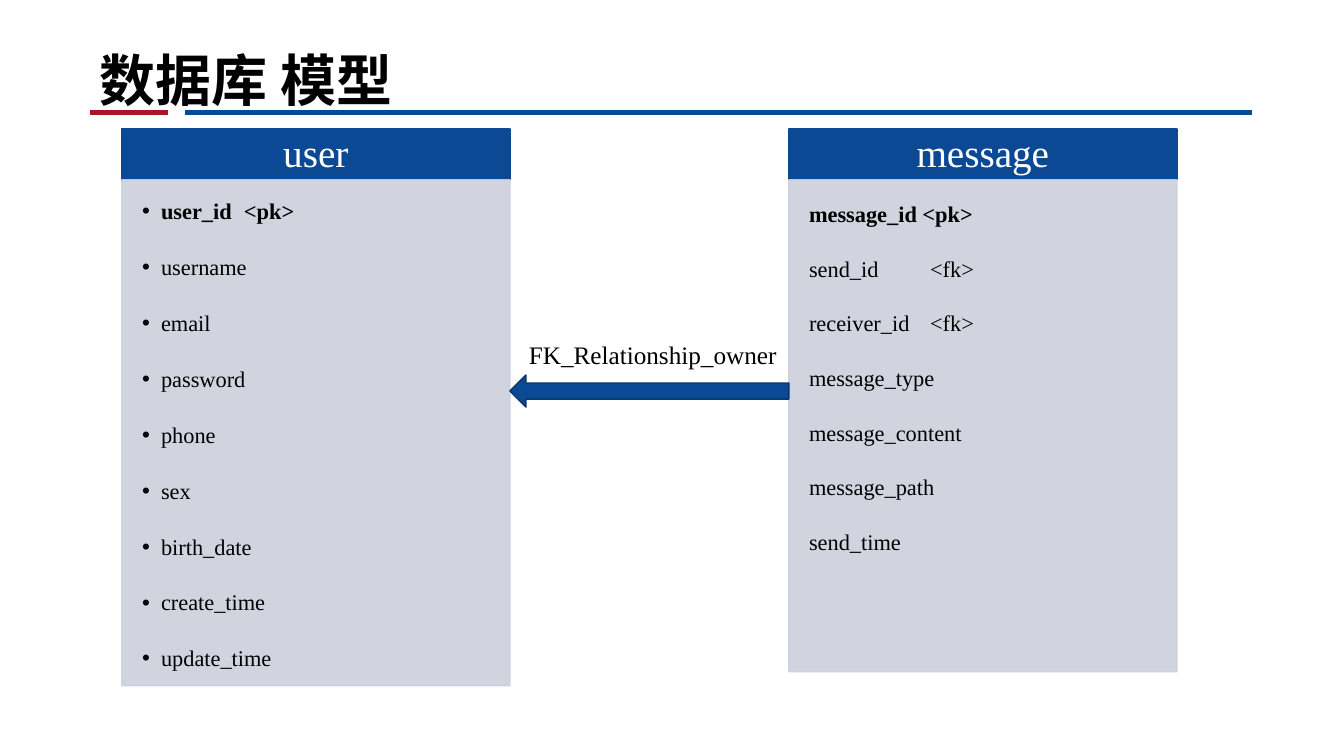
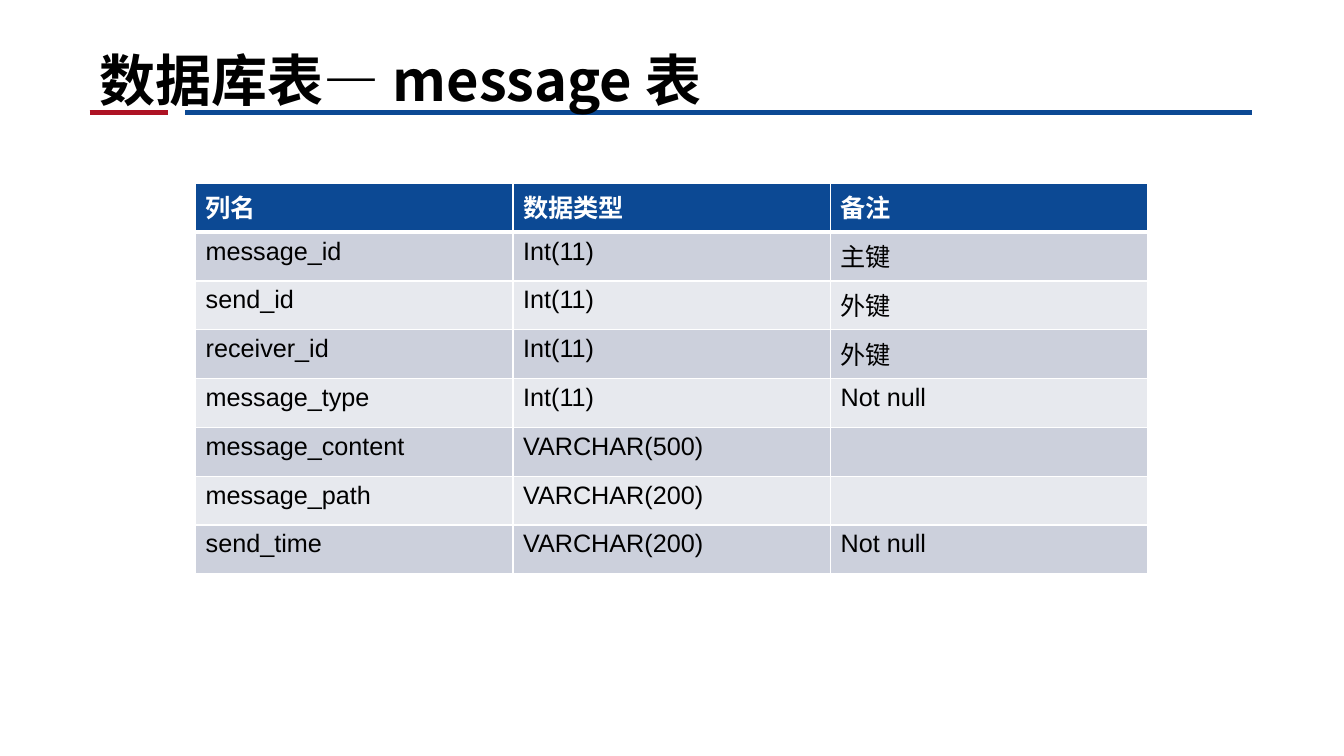
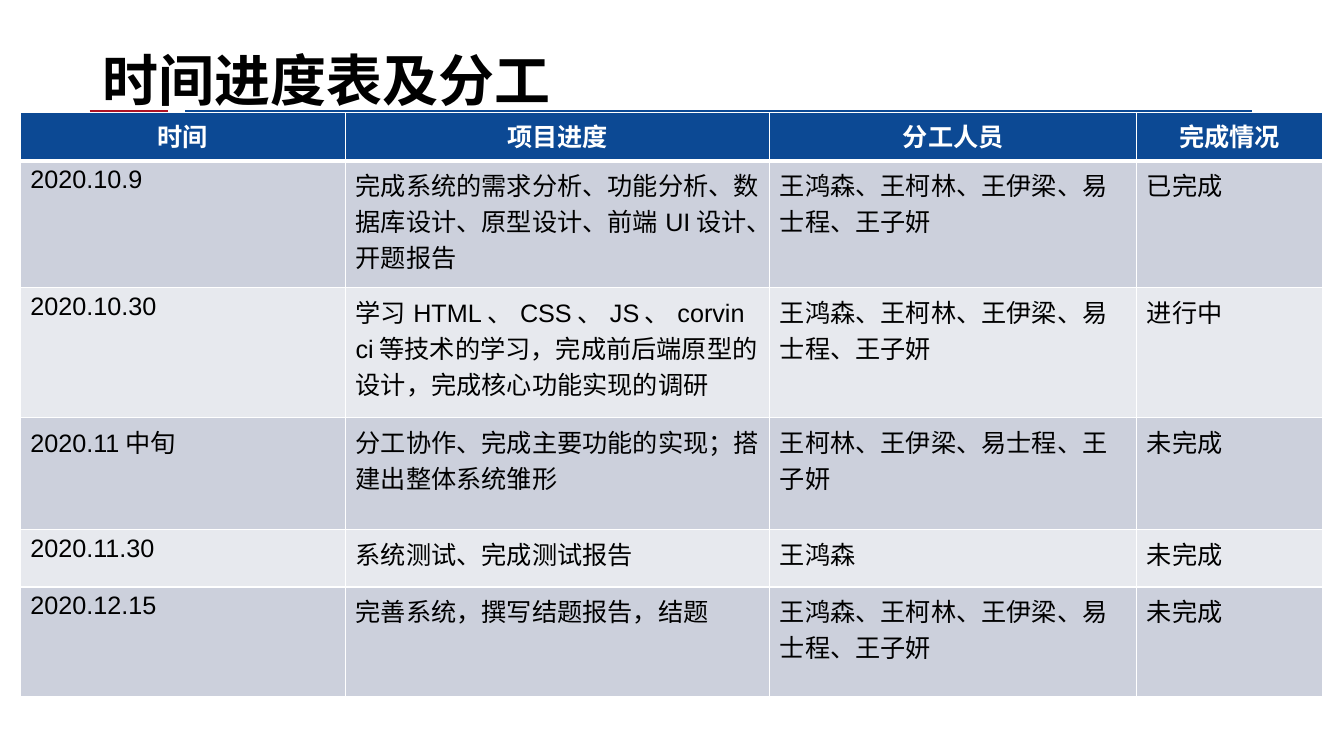
import pptx
import pptx.dml.color
import pptx.enum.shapes
import pptx.enum.text
import pptx.oxml
import pptx.oxml.ns
import pptx.util

Cm = pptx.util.Cm
Pt = pptx.util.Pt
RGBColor = pptx.dml.color.RGBColor
Shape = pptx.enum.shapes.MSO_SHAPE
Anchor = pptx.enum.text.MSO_ANCHOR
Align = pptx.enum.text.PP_ALIGN
qn = pptx.oxml.ns.qn

# Shared look
BLUE = RGBColor(0x0C, 0x49, 0x94)
DARK_BLUE = RGBColor(0x09, 0x36, 0x6D)
RED = RGBColor(0xAE, 0x13, 0x24)
BAND = RGBColor(0xCC, 0xD0, 0xDC)
LIGHT_BAND = RGBColor(0xE7, 0xE9, 0xEE)
WHITE = RGBColor(0xFF, 0xFF, 0xFF)
BLACK = RGBColor(0, 0, 0)
SANS, SERIF, CJK = "Arial", "Times New Roman", "Noto Sans CJK SC"

TITLE_RULES = [(2.26, 4.24, RED), (4.67, 31.55, BLUE)]
RULE_TOP = 2.84
TITLE_RIGHT = 31.55

TITLE_FONT = {"name": CJK, "size": Pt(40), "bold": True}
HEADING_FONT = {"name": SERIF, "size": Pt(28)}
FIELD_FONT = {"name": SERIF, "size": Pt(16)}
LABEL_FONT = {"name": SERIF, "size": Pt(18)}
CELL_FONT = {"name": SANS, "size": Pt(18)}

# Content
ENTITY_TOP, ENTITY_WIDTH, HEADING_HEIGHT = 3.25, 9.78, 1.28
ENTITIES = [
    {
        "name": "user", "left": 3.07, "height": 12.75, "bullet": True, "tab": 2.57,
        "spacing": {"line_spacing": 0.9, "space_after": Pt(22.7)},
        "fields": ["user_id\t<pk>", "username", "email", "password", "phone",
                   "sex", "birth_date", "create_time", "update_time"],
    },
    {
        "name": "message", "left": 19.88, "height": 12.4, "bullet": False, "tab": 3.05,
        "spacing": {"line_spacing": 1.0, "space_after": Pt(19.9)},
        "fields": ["message_id <pk>", "send_id\t<fk>", "receiver_id\t<fk>",
                   "message_type", "message_content", "message_path", "send_time"],
    },
]
RELATION = "FK_Relationship_owner"

COLUMNS_OF_MESSAGE = [
    ("列名", "数据类型", "备注"),
    ("message_id", "Int(11)", "主键"),
    ("send_id", "Int(11)", "外键"),
    ("receiver_id", "Int(11)", "外键"),
    ("message_type", "Int(11)", "Not null"),
    ("message_content", "VARCHAR(500)", ""),
    ("message_path", "VARCHAR(200)", ""),
    ("send_time", "VARCHAR(200)", "Not null"),
]

TEAM = "王鸿森、王柯林、王伊梁、易士程、王子妍"
SCHEDULE = [
    ("时间", "项目进度", "分工人员", "完成情况"),
    ("2020.10.9", "完成系统的需求分析、功能分析、数据库设计、原型设计、前端UI设计、开题报告",
     TEAM, "已完成"),
    ("2020.10.30", "学习HTML、CSS、JS、corvin ci等技术的学习，完成前后端原型的设计，完成核心功能实现的调研",
     TEAM, "进行中"),
    ("2020.11中旬", "分工协作、完成主要功能的实现；搭建出整体系统雏形",
     "王柯林、王伊梁、易士程、王子妍", "未完成"),
    ("2020.11.30", "系统测试、完成测试报告", "王鸿森", "未完成"),
    ("2020.12.15", "完善系统，撰写结题报告，结题", TEAM, "未完成"),
]


def apply(target, values):
    for key, value in values.items():
        setattr(target, key, value)


def add_xml(parent, tag, **attributes):
    child = pptx.oxml.parse_xml(f"<{tag} {pptx.oxml.ns.nsdecls('a')}/>")
    for key, value in attributes.items():
        child.set(key, str(value))
    parent.append(child)
    return child


def write(paragraph, text, font, color=BLACK, **extra):
    run = paragraph.add_run()
    run.text = text
    apply(run.font, {**font, **extra})
    run.font.color.rgb = color
    add_xml(run.font._element, "a:ea", typeface=CJK)


def set_frame(frame, margins, **values):
    """Margins are left, top, right, bottom in centimetres."""
    sides = ("margin_left", "margin_top", "margin_right", "margin_bottom")
    apply(frame, {**dict(zip(sides, map(Cm, margins))), **values})


def add_block(slide, shape_type, box, fill, outline):
    block = slide.shapes.add_shape(shape_type, *map(Cm, box))
    block.shadow.inherit = False
    block.fill.solid()
    block.fill.fore_color.rgb = fill
    block.line.color.rgb = outline
    block.line.width = Pt(1)
    return block


def add_slide(deck, title, left=2.26, font_name=CJK):
    slide = deck.slides.add_slide(deck.slide_layouts[6])
    for start, end, color in TITLE_RULES:
        rule = slide.shapes.add_connector(
            pptx.enum.shapes.MSO_CONNECTOR.STRAIGHT,
            Cm(start), Cm(RULE_TOP), Cm(end), Cm(RULE_TOP))
        rule.line.color.rgb = color
        rule.line.width = Pt(3.5)
        add_xml(rule._element.spPr, "a:effectLst")
    heading = slide.shapes.add_textbox(Cm(left), 0, Cm(TITLE_RIGHT - left), Cm(RULE_TOP))
    set_frame(heading.text_frame, (0.25, 0.13, 0.25, 0),
              word_wrap=True, vertical_anchor=Anchor.BOTTOM)
    write(heading.text_frame.paragraphs[0], title, TITLE_FONT, name=font_name)
    return slide


def add_entity(slide, entity):
    # Heading bar
    box = (entity["left"], ENTITY_TOP, ENTITY_WIDTH, HEADING_HEIGHT)
    heading = add_block(slide, Shape.RECTANGLE, box, BLUE, BLUE)
    set_frame(heading.text_frame, (0.3, 0.18, 0.3, 0.18), vertical_anchor=Anchor.MIDDLE)
    line = heading.text_frame.paragraphs[0]
    apply(line, {"alignment": Align.CENTER, "line_spacing": 0.9})
    write(line, entity["name"], HEADING_FONT, WHITE)

    # Field list
    box = (entity["left"], ENTITY_TOP + HEADING_HEIGHT, ENTITY_WIDTH, entity["height"])
    body = add_block(slide, Shape.RECTANGLE, box, BAND, BAND)
    for color in body._element.spPr.iter(qn("a:srgbClr")):
        add_xml(color, "a:alpha", val=90000)
    frame = body.text_frame
    set_frame(frame, (0.51, 0.51, 0.3, 0.3), vertical_anchor=Anchor.TOP, word_wrap=True)
    for index, field in enumerate(entity["fields"]):
        line = frame.add_paragraph() if index else frame.paragraphs[0]
        properties = line._p.get_or_add_pPr()
        if entity["bullet"]:
            properties.set("marL", str(Cm(0.48)))
            properties.set("indent", str(-Cm(0.48)))
            add_xml(properties, "a:buFont", typeface=SANS)
            add_xml(properties, "a:buChar", char="•")
        if "\t" in field:
            stops = add_xml(properties, "a:tabLst")
            add_xml(stops, "a:tab", pos=Cm(entity["tab"]), algn="l")
        apply(line, {"alignment": Align.LEFT, **entity["spacing"]})
        write(line, field, FIELD_FONT, bold=index == 0)


def set_borders(cell, row):
    properties = cell._tc.get_or_add_tcPr()
    widths = {"L": 1, "R": 1, "T": 3 if row == 1 else 1, "B": 3 if row == 0 else 1}
    for position, (side, width) in enumerate(widths.items()):
        border = pptx.oxml.parse_xml(
            f'<a:ln{side} {pptx.oxml.ns.nsdecls("a")} w="{Pt(width)}">'
            f'<a:solidFill><a:srgbClr val="{WHITE}"/></a:solidFill></a:ln{side}>')
        properties.insert(position, border)


def add_grid(slide, rows, left, top, widths, heights, heading_align):
    frame = slide.shapes.add_table(len(rows), len(widths), Cm(left), Cm(top),
                                   Cm(sum(widths)), Cm(sum(heights)))
    grid = frame.table
    apply(grid, {"first_row": False, "horz_banding": False})
    for column, width in zip(grid.columns, widths):
        column.width = Cm(width)
    for r, (texts, height) in enumerate(zip(rows, heights)):
        grid.rows[r].height = Cm(height)
        for c, text in enumerate(texts):
            cell = grid.cell(r, c)
            cell.fill.solid()
            cell.fill.fore_color.rgb = BLUE if r == 0 else (LIGHT_BAND, BAND)[r % 2]
            set_borders(cell, r)
            line = cell.text_frame.paragraphs[0]
            line.alignment = Align.LEFT if r else heading_align
            if text:
                write(line, text, CELL_FONT, BLACK if r else WHITE, bold=r == 0)


def main():
    deck = pptx.Presentation()
    apply(deck, {"slide_width": Cm(33.87), "slide_height": Cm(19.05)})

    # Database model
    slide = add_slide(deck, "数据库 模型")
    for entity in ENTITIES:
        add_entity(slide, entity)
    gap_left = ENTITIES[0]["left"] + ENTITY_WIDTH
    gap = ENTITIES[1]["left"] - gap_left
    add_block(slide, Shape.LEFT_ARROW, (gap_left, 9.45, gap, 0.81), BLUE, DARK_BLUE)
    label = slide.shapes.add_textbox(Cm(gap_left + 0.23), Cm(8.43), Cm(6.78), Cm(1.02))
    label.text_frame.word_wrap = False
    write(label.text_frame.paragraphs[0], RELATION, LABEL_FONT)

    # Message table
    slide = add_slide(deck, "数据库表—message表")
    add_grid(slide, COLUMNS_OF_MESSAGE, 4.93, 4.62, [8] * 3,
             [1.23] * len(COLUMNS_OF_MESSAGE), Align.LEFT)

    # Schedule and division of work
    slide = add_slide(deck, "时间进度表及分工", 2.34, "Roboto Condensed")
    add_grid(slide, SCHEDULE, 0.51, RULE_TOP, [8.2, 10.69, 9.25, 4.68],
             [1.21, 3.2, 3.28, 2.82, 1.44, 2.77], Align.CENTER)

    deck.save("out.pptx")


if __name__ == "__main__":
    main()
